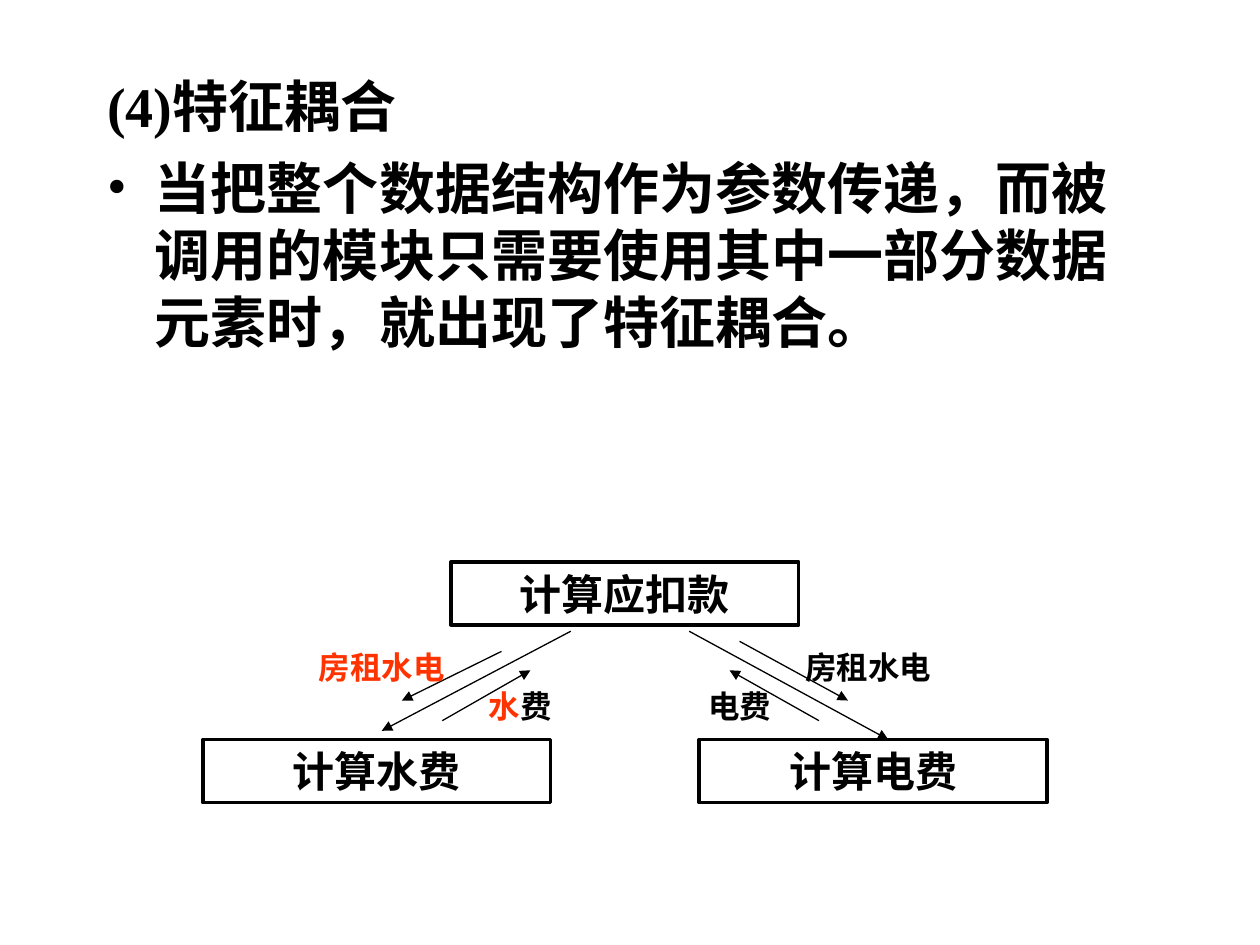
from dataclasses import dataclass

from lxml import etree
from pptx import Presentation
from pptx.dml.color import RGBColor
from pptx.enum.lang import MSO_LANGUAGE_ID
from pptx.enum.shapes import MSO_CONNECTOR, MSO_SHAPE
from pptx.enum.text import MSO_ANCHOR, MSO_AUTO_SIZE, PP_ALIGN
from pptx.oxml.ns import qn
from pptx.util import Inches, Pt

RECTANGLE = MSO_SHAPE.RECTANGLE
STRAIGHT = MSO_CONNECTOR.STRAIGHT
CENTER = PP_ALIGN.CENTER
LEFT = PP_ALIGN.LEFT
TOP = MSO_ANCHOR.TOP
MIDDLE = MSO_ANCHOR.MIDDLE
NO_FIT = MSO_AUTO_SIZE.NONE
GROW = MSO_AUTO_SIZE.SHAPE_TO_FIT_TEXT
CHINESE = MSO_LANGUAGE_ID.SIMPLIFIED_CHINESE


@dataclass(frozen=True)
class Theme:
    font: str = "Times New Roman"
    ink: str = "000000"
    accent: str = "FF3300"
    body_size: int = 32
    module_size: int = 24
    label_size: int = 18
    module_line: float = 2
    arrow_line: float = 0.75
    body_gap: int = 8
    body_indent: float = 0.38


class SlideBuilder:
    def __init__(self, slide, theme):
        self.slide = slide
        self.theme = theme

    def add_run(self, paragraph, text, size, color):
        run = paragraph.add_run()
        run.text = text
        font = run.font
        font.name = self.theme.font
        font.size = Pt(size)
        font.bold = True
        font.language_id = CHINESE
        font.color.rgb = RGBColor.from_string(color)

    def set_bullet(self, paragraph, bullet):
        properties = paragraph._p.get_or_add_pPr()
        indent = Inches(self.theme.body_indent)
        properties.set("marL", str(indent))
        properties.set("indent", str(-indent))
        if not bullet:
            etree.SubElement(properties, qn("a:buNone"))
            return
        tint = etree.SubElement(properties, qn("a:buClr"))
        etree.SubElement(tint, qn("a:srgbClr"), val=self.theme.ink)
        etree.SubElement(properties, qn("a:buFont"), typeface=self.theme.font)
        etree.SubElement(properties, qn("a:buChar"), char=bullet)

    def body(self, box, entries):
        placeholder = self.slide.placeholders[1]
        placeholder.left, placeholder.top, placeholder.width, placeholder.height = map(Inches, box)
        frame = placeholder.text_frame
        frame.word_wrap = True
        frame.auto_size = NO_FIT
        frame.vertical_anchor = TOP
        for index, (bullet, text) in enumerate(entries):
            paragraph = frame.add_paragraph() if index else frame.paragraphs[0]
            self.set_bullet(paragraph, bullet)
            paragraph.alignment = LEFT
            paragraph.space_before = Pt(self.theme.body_gap if index else 0)
            self.add_run(paragraph, text, self.theme.body_size, self.theme.ink)

    def centered_text(self, frame, runs, size):
        frame.word_wrap = True
        frame.auto_size = GROW
        paragraph = frame.paragraphs[0]
        paragraph.alignment = CENTER
        for text, color in runs:
            self.add_run(paragraph, text, size, color)

    def module(self, left, top, name):
        module = self.slide.shapes.add_shape(
            RECTANGLE, Inches(left), Inches(top), Inches(2.76), Inches(0.5))
        module.shadow.inherit = False
        module.fill.background()
        module.line.color.rgb = RGBColor.from_string(self.theme.ink)
        module.line.width = Pt(self.theme.module_line)
        module.text_frame.vertical_anchor = MIDDLE
        self.centered_text(module.text_frame, [(name, self.theme.ink)], self.theme.module_size)

    def label(self, left, top, width, runs):
        label = self.slide.shapes.add_textbox(
            Inches(left), Inches(top), Inches(width), Inches(0.4))
        self.centered_text(label.text_frame, runs, self.theme.label_size)

    def arrow(self, start, end):
        arrow = self.slide.shapes.add_connector(STRAIGHT, *map(Inches, (*start, *end)))
        arrow.line.color.rgb = RGBColor.from_string(self.theme.ink)
        arrow.line.width = Pt(self.theme.arrow_line)
        etree.SubElement(arrow.line._get_or_add_ln(), qn("a:tailEnd"), type="triangle")
        etree.SubElement(arrow._element.spPr, qn("a:effectLst"))


def main():
    presentation = Presentation()
    presentation.slide_width = Inches(10)
    presentation.slide_height = Inches(7.5)
    slide = presentation.slides.add_slide(presentation.slide_layouts[1])
    unused_title = slide.shapes.title._element
    unused_title.getparent().remove(unused_title)

    theme = Theme()
    builder = SlideBuilder(slide, theme)
    builder.body((0.75, 0.52, 8.5, 2.36), [
        (None, "(4)特征耦合"),
        ("•", "当把整个数据结构作为参数传递，而被调用的模块只需要使用其中一部分数据元素时，就出现了特征耦合。"),
    ])

    for left, top, name in [
        (3.58, 4.46, "计算应扣款"),
        (1.61, 5.87, "计算水费"),
        (5.55, 5.87, "计算电费"),
    ]:
        builder.module(left, top, name)

    water_call = ((4.53, 5.01), (3.03, 5.8))
    power_call = ((5.47, 5.01), (7.05, 5.87))
    water_input = ((3.98, 5.17), (3.19, 5.56))
    power_input = ((5.87, 5.09), (6.73, 5.56))
    power_result = ((6.5, 5.72), (5.79, 5.32))
    water_result = ((3.51, 5.72), (4.21, 5.32))
    for start, end in (water_call, power_call, water_input,
                       power_input, power_result, water_result):
        builder.arrow(start, end)

    for left, top, width, runs in [
        (2.32, 5.09, 1.42, [("房租水电", theme.accent)]),
        (3.58, 5.4, 1.1, [("水", theme.accent), ("费", theme.ink)]),
        (5.32, 5.4, 1.1, [("电费", theme.ink)]),
        (6.18, 5.09, 1.42, [("房租水电", theme.ink)]),
    ]:
        builder.label(left, top, width, runs)

    presentation.save("out.pptx")


if __name__ == "__main__":
    main()
